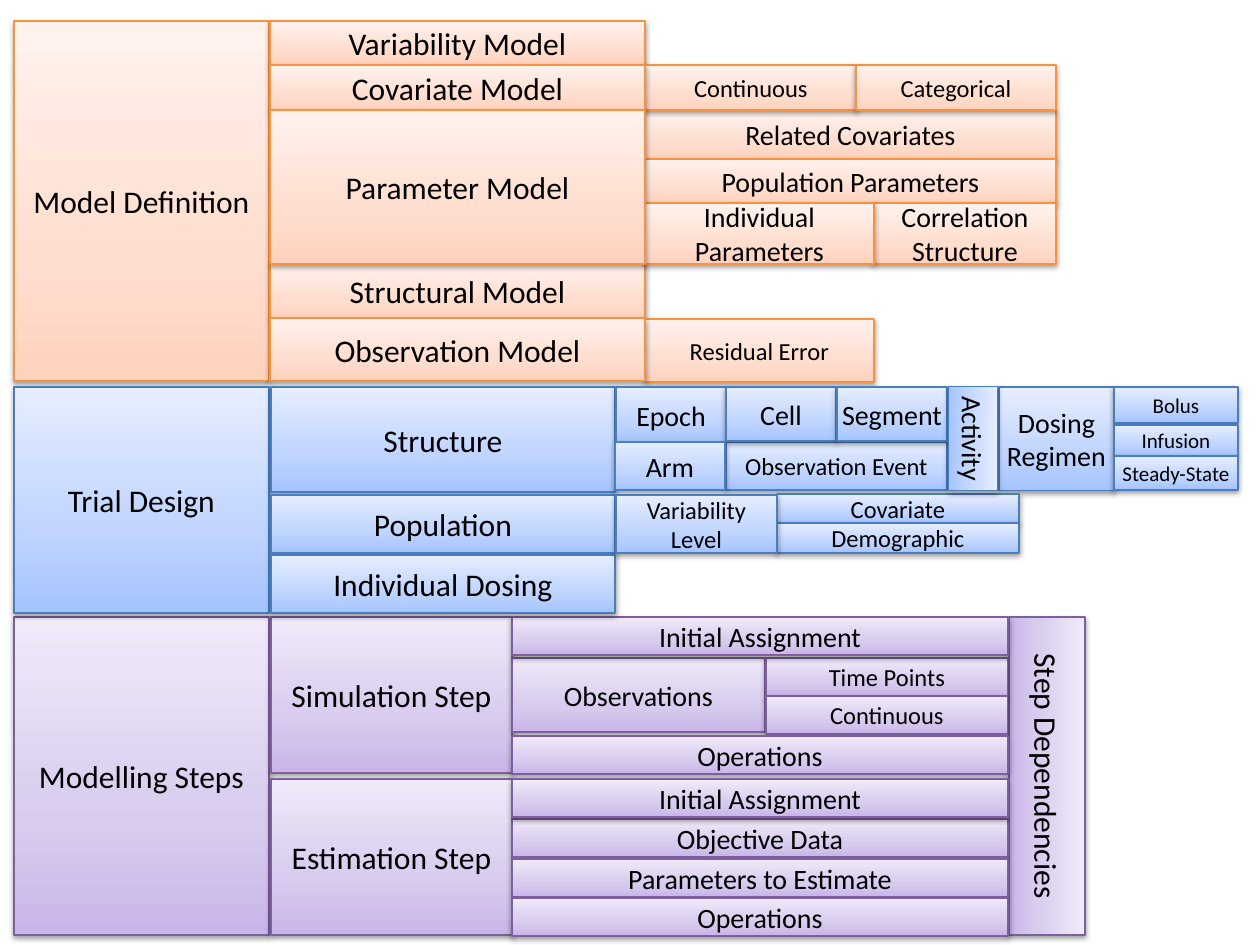
"""Build a slide of nested blocks for model definition, trial design and modelling steps."""
import copy

import pptx
import pptx.dml.color
import pptx.enum.shapes
import pptx.enum.text
import pptx.util
from lxml import etree
from pptx.oxml.ns import qn

SCALE = 914400 // 126
COLOURS = {
    "text": "000000",
    "shadow": "000000",
    "model": {"line": "F69240", "stops": ("FFD2BD", "FFDED0", "FFF2ED")},
    "trial": {"line": "4B7EBC", "stops": ("A4C4FF", "BFD4FF", "E6EEFF")},
    "steps": {"line": "7D60A0", "stops": ("C9B5E8", "D8CBEE", "F0EAF9")},
}
STOP_POSITIONS = (0, 0.35, 1)
HEADING_WIDTH = 255
TIGHT = (0, 0)
NARROW = (5, 6)


def rgb(value):
    """Return a colour from a hex string."""
    return pptx.dml.color.RGBColor.from_string(value)


def px(length):
    """Turn pixels into EMU."""
    return pptx.util.Emu(length * SCALE)


def fill_gradient(box, colours):
    """Fill a box with three colours running from bottom to top."""
    box.fill.gradient()
    box.fill.gradient_angle = 90
    stop_list = box._element.spPr.find(".//" + qn("a:gsLst"))
    stop_list.append(copy.deepcopy(stop_list[-1]))
    for stop, colour, position in zip(box.fill.gradient_stops, colours, STOP_POSITIONS):
        stop.color.rgb = rgb(colour)
        stop.position = position


def add_shadow(box):
    """Give a box a soft shadow below it."""
    box.shadow.inherit = False
    effects = box._element.spPr.find(qn("a:effectLst"))
    shadow = etree.SubElement(effects, qn("a:outerShdw"), blurRad="40000",
                              dist="20000", dir="5400000", rotWithShape="0")
    colour = etree.SubElement(shadow, qn("a:srgbClr"), val=COLOURS["shadow"])
    etree.SubElement(colour, qn("a:alpha"), val="38000")


def write_text(box, text, size=18, insets=(13, 6)):
    """Write centred text in a box."""
    frame = box.text_frame
    frame.word_wrap = True
    frame.vertical_anchor = pptx.enum.text.MSO_ANCHOR.MIDDLE
    frame.margin_left = frame.margin_right = px(insets[0])
    frame.margin_top = frame.margin_bottom = px(insets[1])
    para = frame.paragraphs[0]
    para.alignment = pptx.enum.text.PP_ALIGN.CENTER
    span = para.add_run()
    span.text = text
    span.font.name = "Calibri"
    span.font.size = pptx.util.Pt(size)
    span.font.color.rgb = rgb(COLOURS["text"])


def add_block(page, theme, text, left, top, width, height, rotation=0, **style):
    """Add one shaded block with its label."""
    box = page.shapes.add_shape(pptx.enum.shapes.MSO_SHAPE.RECTANGLE,
                                px(left), px(top), px(width), px(height))
    box.rotation = rotation
    fill_gradient(box, COLOURS[theme]["stops"])
    box.line.color.rgb = rgb(COLOURS[theme]["line"])
    box.line.width = pptx.util.Pt(0.75)
    add_shadow(box)
    write_text(box, text, **style)


def add_column(page, theme, left, width, rows, **style):
    """Add blocks that share a left edge and a width."""
    for text, top, height in rows:
        add_block(page, theme, text, left, top, width, height, **style)


def add_row(page, theme, top, height, cells, **style):
    """Add blocks that share a top edge and a height."""
    for text, left, width in cells:
        add_block(page, theme, text, left, top, width, height, **style)


def add_model_definition(page):
    """Add the model definition section."""
    theme = "model"
    add_block(page, theme, "Model Definition", 14, 21, HEADING_WIDTH, 360)
    add_column(page, theme, 270, 375, [("Structural Model", 263, 55)])
    add_column(page, theme, 645, 411, [
        ("Related Covariates", 110, 49),
        ("Population Parameters", 159, 44),
    ], size=16, insets=TIGHT)
    add_row(page, theme, 203, 61, [
        ("Correlation Structure", 874, 182),
        ("Individual Parameters", 645, 229),
    ], size=16, insets=TIGHT)
    add_block(page, theme, "Residual Error", 645, 319, 229, 63, size=14)
    add_column(page, theme, 270, 375, [("Variability Model", 21, 44)])
    add_row(page, theme, 65, 45, [("Continuous", 645, 212)], size=14)
    add_column(page, theme, 270, 375, [("Covariate Model", 65, 45)])
    add_row(page, theme, 65, 45, [("Categorical", 856, 200)], size=14)
    add_column(page, theme, 270, 375, [
        ("Parameter Model", 110, 154),
        ("Observation Model", 318, 63),
    ])


def add_trial_design(page):
    """Add the trial design section."""
    theme = "trial"
    add_block(page, theme, "Trial Design", 14, 387, HEADING_WIDTH, 226)
    add_block(page, theme, "Dosing Regimen", 999, 387, 115, 104, size=16, insets=NARROW)
    add_column(page, theme, 1114, 124, [
        ("Bolus", 387, 36),
        ("Infusion", 425, 31),
        ("Steady-State", 456, 34),
    ], size=12, insets=TIGHT)
    add_column(page, theme, 271, 344, [
        ("Structure", 387, 105),
        ("Population", 495, 58),
        ("Individual Dosing", 555, 58),
    ])
    add_block(page, theme, "Epoch", 616, 387, 110, 56, size=16, insets=TIGHT)
    add_block(page, theme, "Observation Event", 726, 442, 221, 48, size=14, insets=TIGHT)
    add_column(page, theme, 777, 242, [
        ("Covariate", 494, 30),
        ("Demographic", 523, 30),
    ], size=14)
    add_row(page, theme, 387, 54, [("Cell", 726, 110), ("Segment", 837, 110)],
            size=16, insets=TIGHT)
    add_block(page, theme, "Arm", 615, 442, 110, 48, size=16, insets=TIGHT)
    add_block(page, theme, "Activity", 921, 414, 104, 49, rotation=90, size=16, insets=TIGHT)
    add_block(page, theme, "Variability Level", 616, 495, 161, 58, size=14)


def add_modelling_steps(page):
    """Add the modelling steps section."""
    theme = "steps"
    add_block(page, theme, "Modelling Steps", 14, 617, HEADING_WIDTH, 318)
    add_column(page, theme, 271, 241, [
        ("Simulation Step", 617, 156),
        ("Estimation Step", 779, 156),
    ])
    add_block(page, theme, "Observations", 512, 658, 253, 74, size=16)
    add_block(page, theme, "Step Dependencies", 888, 738, 318, 76, rotation=90)
    add_column(page, theme, 766, 242, [
        ("Time Points", 658, 38),
        ("Continuous", 696, 38),
    ], size=14)
    add_column(page, theme, 512, 496, [
        ("Initial Assignment", 617, 38),
        ("Objective Data", 819, 38),
        ("Parameters to Estimate", 859, 38),
        ("Operations", 898, 38),
        ("Operations", 736, 38),
        ("Initial Assignment", 779, 38),
    ], size=16)


def main():
    """Build and save the deck."""
    deck = pptx.Presentation()
    deck.slide_width = px(1260)
    deck.slide_height = px(945)
    page = deck.slides.add_slide(deck.slide_layouts[6])
    add_model_definition(page)
    add_modelling_steps(page)
    add_trial_design(page)
    deck.save("out.pptx")


main()
